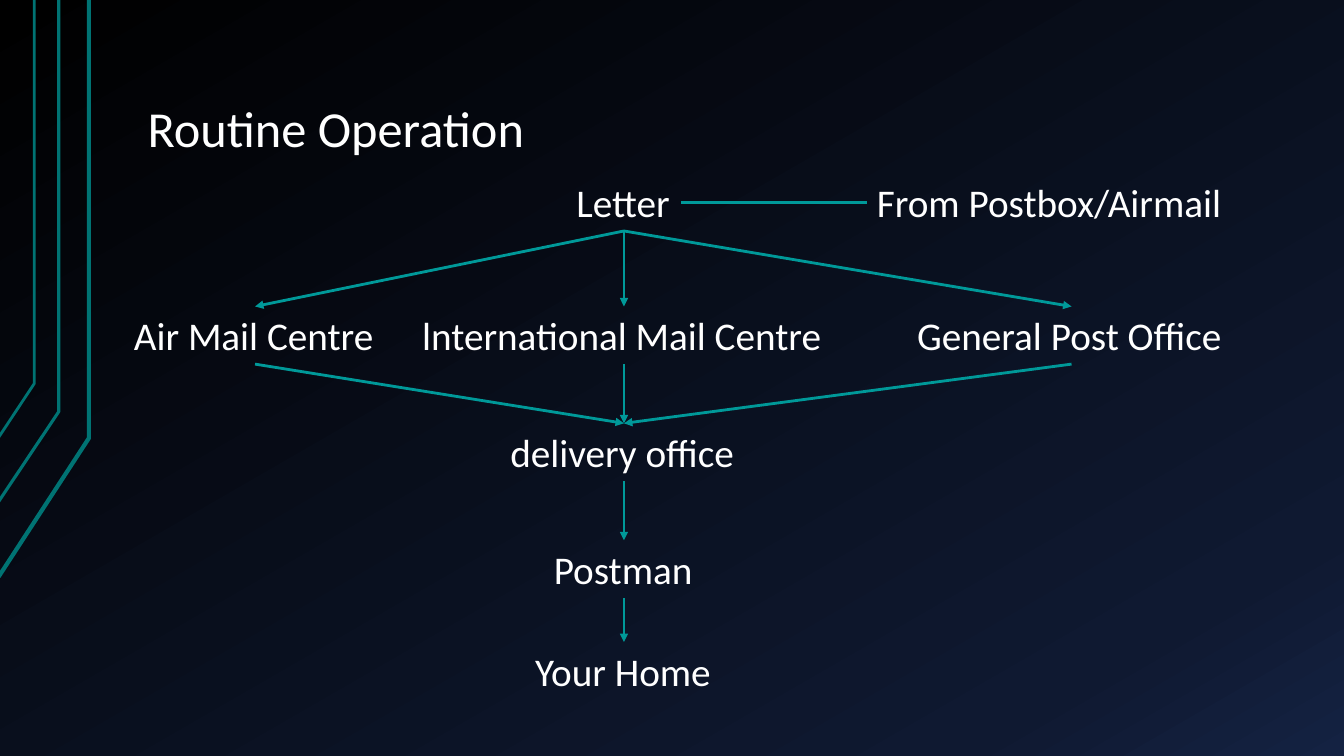
from copy import deepcopy
from pptx import Presentation
from pptx.dml.color import RGBColor as Rgb
from pptx.enum.shapes import MSO_CONNECTOR as Conn
from pptx.enum.text import MSO_ANCHOR as Anchor, MSO_AUTO_SIZE as Auto
from pptx.oxml.ns import qn
from pptx.oxml.xmlchemy import OxmlElement as Elem
from pptx.util import Pt

HEX = {"text": "FFFFFF", "link": "009999", "rail": "007373"}
STOPS = [(0, "000000"), (0.85, "0F1931"), (1, "142242")]
RAILS = [
    (3, [(-1, 412), (63.5, 313), (63.5, 0)]),
    (2.25, [(-1.5, 359), (42, 294), (42, 0)]),
    (2, [(-1, 312.5), (24.5, 274), (24.5, 0)]),
]
MID = 445.7
NODES = {
    "letter": ("Letter", MID, 123.8, 82),
    "intl": ("lnternational Mail Centre", MID, 218.9, 302.4),
    "post": ("General Post Office", 765.4, 218.9, 234.7),
    "air": ("Air Mail Centre", 182.2, 218.9, 187.2),
    "office": ("delivery office", MID, 302.4, 176.4),
    "source": ("From Postbox/Airmail", 751, 123.8, 263.5),
    "man": ("Postman", MID, 385.9, 114.5),
    "home": ("Your Home", MID, 458.6, 141.1),
}
FLOWS = [
    ("letter", "intl"), ("letter", "air"), ("letter", "post"),
    ("intl", "office"), ("air", "office"), ("post", "office"),
    ("office", "man"), ("man", "home"),
]
NODE = {"word_wrap": False, "auto_size": Auto.SHAPE_TO_FIT_TEXT}
TITLE = {
    "word_wrap": True, "vertical_anchor": Anchor.BOTTOM,
    "margin_left": Pt(9.6), "margin_right": Pt(9.6),
    "margin_top": Pt(4.8), "margin_bottom": Pt(4.8),
}


def apply(item, form):
    """Set each attribute in the format on the item."""
    for key, value in form.items():
        setattr(item, key, value)


def paint(slide):
    """Fill the background with the slanted gradient."""
    fill = slide.background.fill
    fill.gradient()
    fill.gradient_angle = 300
    stops = slide.element.find(".//" + qn("a:gsLst"))
    stops.append(deepcopy(stops[0]))
    for stop, (place, tone) in zip(fill.gradient_stops, STOPS):
        stop.position = place
        stop.color.rgb = Rgb.from_string(tone)


def stroke(shape, tone, width):
    """Give the shape's line a colour and a width."""
    shape.line.color.rgb = Rgb.from_string(HEX[tone])
    shape.line.width = Pt(width)


def rail(slide, width, spots):
    """Draw one open bent line at the left edge."""
    start, *rest = [(Pt(x), Pt(y)) for x, y in spots]
    pen = slide.shapes.build_freeform(*start)
    pen.add_line_segments(rest, close=False)
    shape = pen.convert_to_shape()
    shape.fill.background()
    shape.shadow.inherit = False
    stroke(shape, "rail", width)


def label(slide, text, area, size, form):
    """Add a text box with one line of text."""
    box = slide.shapes.add_textbox(*map(Pt, area))
    apply(box.text_frame, form)
    para = box.text_frame.paragraphs[0]
    para.text = text
    apply(para.font, {"name": "Calibri", "size": Pt(size)})
    para.font.color.rgb = Rgb.from_string(HEX["text"])
    return box, para


def link(slide, first, last, sides=(2, 0), arrow=True):
    """Join two boxes at the given sides."""
    line = slide.shapes.add_connector(Conn.STRAIGHT, 0, 0, 0, 0)
    line.begin_connect(first, sides[0])
    line.end_connect(last, sides[1])
    stroke(line, "link", 2)
    if arrow:
        tip = Elem("a:tailEnd")
        tip.set("type", "triangle")
        line.element.find(".//" + qn("a:ln")).append(tip)
    line.element.spPr.append(Elem("a:effectLst"))


def main():
    """Build and save the slide."""
    deck = Presentation()
    apply(deck, {"slide_width": Pt(960), "slide_height": Pt(540)})
    slide = deck.slides.add_slide(deck.slide_layouts[6])
    paint(slide)
    for width, spots in RAILS:
        rail(slide, width, spots)
    area = (95.8, 21.6, 815.8, 96.5)
    _, para = label(slide, "Routine Operation", area, 36, TITLE)
    para.line_spacing = 0.9
    boxes = {}
    for key, (text, mid, top, width) in NODES.items():
        area = (mid - width / 2, top, width, 41.2)
        boxes[key], _ = label(slide, text, area, 28, NODE)
    for first, last in FLOWS:
        link(slide, boxes[first], boxes[last])
    link(slide, boxes["source"], boxes["letter"], (1, 3), False)
    deck.save("out.pptx")


if __name__ == "__main__":
    main()
